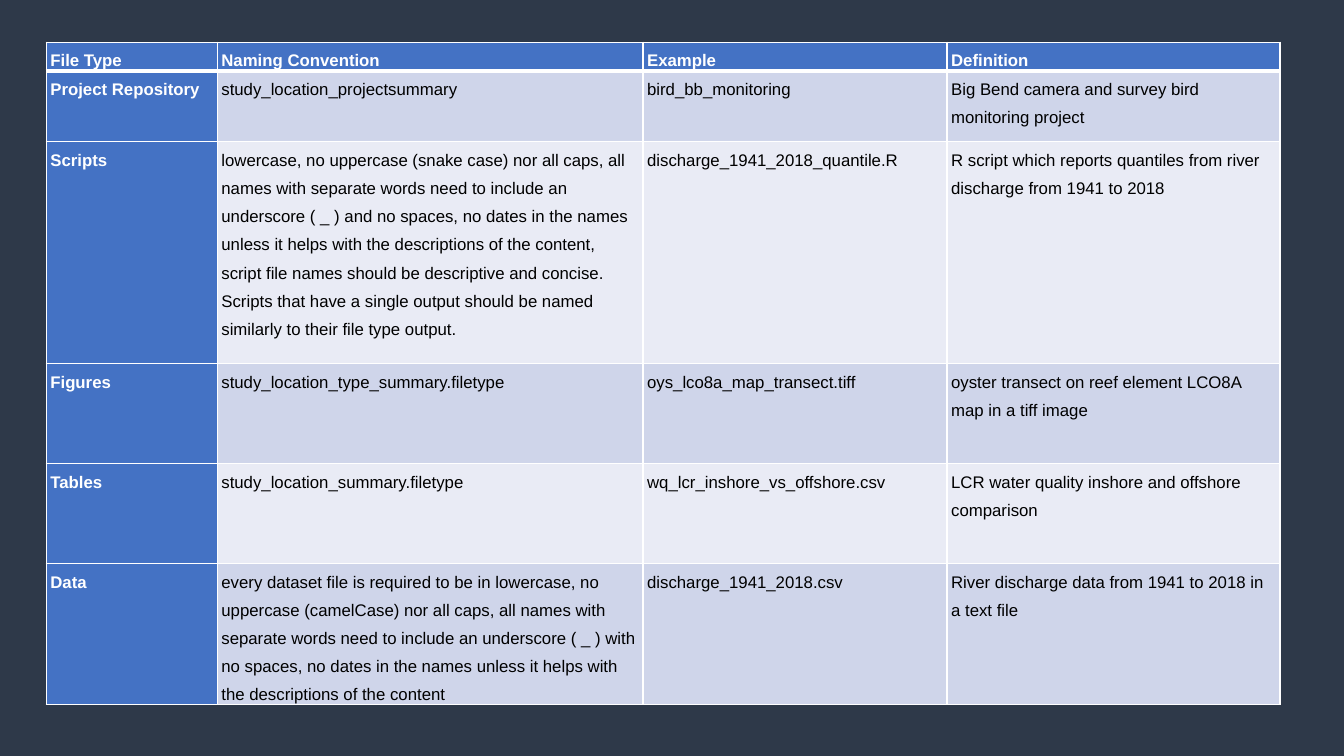
from lxml import etree
from pptx import Presentation
from pptx.dml.color import RGBColor
from pptx.oxml.ns import qn
from pptx.util import Pt

NAVY = RGBColor(0x2E, 0x39, 0x49)
BLUE = RGBColor(0x44, 0x72, 0xC4)
BAND_DARK = RGBColor(0xCF, 0xD5, 0xEA)
BAND_LIGHT = RGBColor(0xE9, 0xEB, 0xF5)
WHITE = RGBColor(0xFF, 0xFF, 0xFF)
BLACK = RGBColor(0x00, 0x00, 0x00)

BLANK_LAYOUT = 6
COLUMN_WIDTHS = [122.2, 304.1, 217.2, 237.8]
ROW_HEIGHTS = [20.5, 50.5, 158.75, 71.25, 71.25, 100.75]

NAMING_RULES = [
    ("File Type", "Naming Convention", "Example", "Definition"),
    ("Project Repository", "study_location_projectsummary", "bird_bb_monitoring",
     "Big Bend camera and survey bird monitoring project"),
    ("Scripts",
     "lowercase, no uppercase (snake case) nor all caps, all names with separate "
     "words need to include an underscore ( _ ) and no spaces, no dates in the names "
     "unless it helps with the descriptions of the content, script file names should "
     "be descriptive and concise. Scripts that have a single output should be named "
     "similarly to their file type output.",
     "discharge_1941_2018_quantile.R",
     "R script which reports quantiles from river discharge from 1941 to 2018"),
    ("Figures", "study_location_type_summary.filetype", "oys_lco8a_map_transect.tiff",
     "oyster transect on reef element LCO8A map in a tiff image"),
    ("Tables", "study_location_summary.filetype", "wq_lcr_inshore_vs_offshore.csv",
     "LCR water quality inshore and offshore comparison"),
    ("Data",
     "every dataset file is required to be in lowercase, no uppercase (camelCase) nor "
     "all caps, all names with separate words need to include an underscore ( _ ) "
     "with no spaces, no dates in the names unless it helps with the descriptions of "
     "the content",
     "discharge_1941_2018.csv",
     "River discharge data from 1941 to 2018 in a text file"),
]


def add_border(cell, side, width):
    properties = cell._tc.get_or_add_tcPr()
    line = etree.SubElement(properties, qn(f"a:{side}"), w=str(Pt(width)))
    fill = etree.SubElement(line, qn("a:solidFill"))
    etree.SubElement(fill, qn("a:srgbClr"), val=str(WHITE))


def fill_cell(cell, text, row, column):
    is_heading = row == 0 or column == 0
    add_border(cell, "lnL", 1)
    add_border(cell, "lnR", 1)
    add_border(cell, "lnT", 3 if row == 1 else 1)
    add_border(cell, "lnB", 3 if row == 0 else 1)
    cell.fill.solid()
    band = BAND_DARK if row % 2 else BAND_LIGHT
    cell.fill.fore_color.rgb = BLUE if is_heading else band
    cell.margin_left = cell.margin_right = Pt(3)
    cell.margin_top = cell.margin_bottom = Pt(0)
    cell.text = text
    paragraph = cell.text_frame.paragraphs[0]
    paragraph.line_spacing = 1.5
    paragraph.space_after = Pt(10)
    paragraph.font.name = "Arial"
    paragraph.font.size = Pt(12)
    paragraph.font.bold = is_heading
    paragraph.font.color.rgb = WHITE if is_heading else BLACK


def add_naming_table(slide):
    table = slide.shapes.add_table(
        len(ROW_HEIGHTS), len(COLUMN_WIDTHS), Pt(33), Pt(30.2),
        Pt(sum(COLUMN_WIDTHS)), Pt(sum(ROW_HEIGHTS))).table
    table.first_col = True
    for column, width in zip(table.columns, COLUMN_WIDTHS):
        column.width = Pt(width)
    for row, height in zip(table.rows, ROW_HEIGHTS):
        row.height = Pt(height)
    for row, texts in enumerate(NAMING_RULES):
        for column, text in enumerate(texts):
            fill_cell(table.cell(row, column), text, row, column)


def main():
    deck = Presentation()
    deck.slide_width = Pt(960)
    deck.slide_height = Pt(540)
    slide = deck.slides.add_slide(deck.slide_layouts[BLANK_LAYOUT])
    slide.background.fill.solid()
    slide.background.fill.fore_color.rgb = NAVY
    add_naming_table(slide)
    deck.save("out.pptx")


if __name__ == "__main__":
    main()
